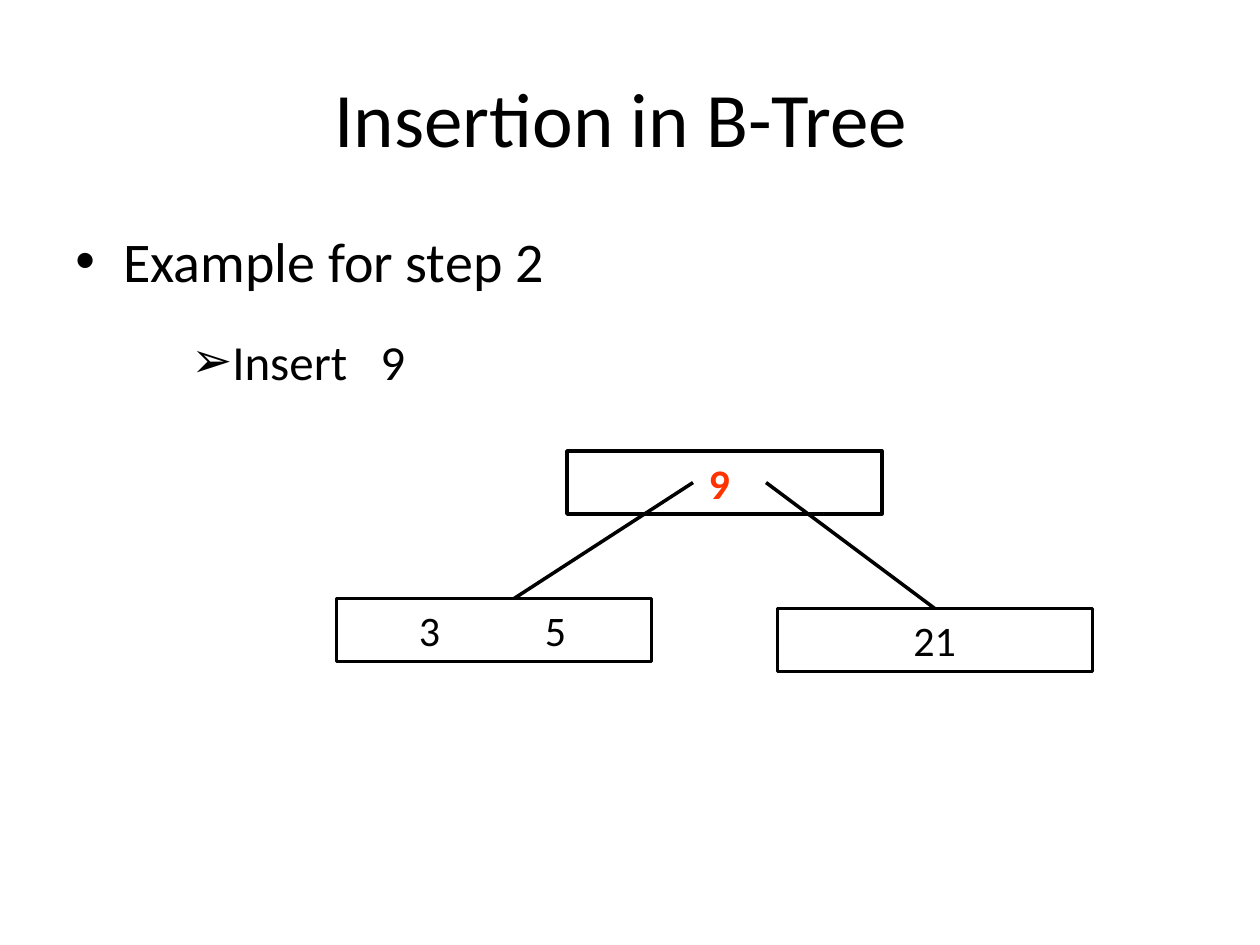
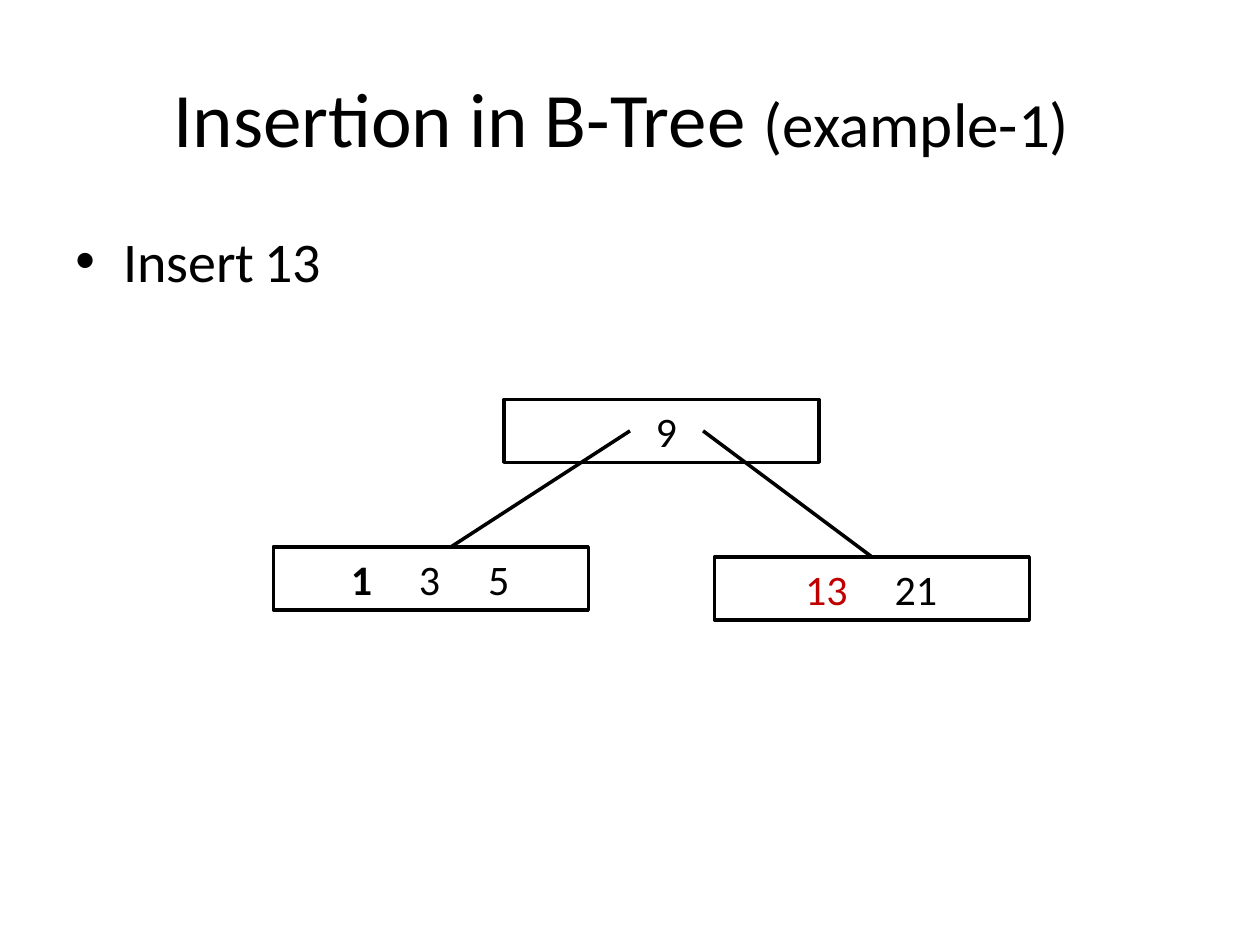
from lxml import etree
from pptx import Presentation
from pptx.dml.color import RGBColor
from pptx.enum import shapes, text
from pptx.oxml import ns
from pptx.util import Inches, Pt

COLORS = {"ink": "000000", "new": "FF3300", "added": "C00000", "paper": "FFFFFF"}
FONT = "Calibri"

# A run is (text, format). A key is (label, centre inside its node, format).
SLIDES = [
    {
        "title": [("Insertion in B-Tree ", {"size": 44})],
        "bullet": "Example for step 2",
        "step": "Insert\t9",
        "root_at": (4.5, 3.58),
        "root": [("9", 1.11, {"color": "new", "bold": True})],
        "left": [("3", 0.64, {}), ("5", 1.64, {})],
        "right": [("21", 1.15, {})],
    },
    {
        "title": [("Insertion in B-Tree ", {"size": 44}),
                  ("(example-1)", {"size": 36}), (" ", {"size": 44})],
        "bullet": "Insert\t13",
        "root_at": (4, 3.17),
        "root": [("9", 1.19, {})],
        "left": [("1", 0.6, {"bold": True}), ("3", 1.14, {}), ("5", 1.69, {})],
        "right": [("13", 0.79, {"color": "added"}), ("21", 1.5, {})],
    },
]

TITLE_BOX = (0.5, 0.3, 9, 1.25)
BODY_BOX = (0.5, 1.75, 9, 4.95)
STEP_BOX = (1.42, 2.58, 2.42, 0.57)
NODE_SIZE = (2.5, 0.5)
LINE_WIDTH = 2
# Offsets from the root's top left corner
CHILDREN = {"left": (-1.83, 1.17), "right": (1.67, 1.25)}
BRANCHES = {"left": ((1, 0.25), (-0.42, 1.17)),
            "right": ((1.58, 0.25), (2.92, 1.25))}


def rgb(name):
    return RGBColor.from_string(COLORS[name])


def add_run(p, label, size=24, color="ink", bold=False):
    r = p.add_run()
    r.text = label
    for name, value in {"name": FONT, "size": Pt(size), "bold": bold}.items():
        setattr(r.font, name, value)
    r.font.color.rgb = rgb(color)


def add_bullet(p, char, indent=0):
    pPr = p._p.get_or_add_pPr()
    pPr.set("marL", str(Inches(indent)))
    pPr.set("indent", str(-Inches(indent)))
    etree.SubElement(pPr, ns.qn("a:buFont"), typeface="Arial")
    etree.SubElement(pPr, ns.qn("a:buChar"), char=char)


def add_center_tabs(p, positions):
    tabs = etree.SubElement(p._p.get_or_add_pPr(), ns.qn("a:tabLst"))
    for x in positions:
        etree.SubElement(tabs, ns.qn("a:tab"), pos=str(Inches(x)), algn="ctr")


def add_text_box(s, box, wrap=True):
    tf = s.shapes.add_textbox(*map(Inches, box)).text_frame
    tf.word_wrap = wrap
    return tf


def add_node(s, at, keys):
    sp = s.shapes.add_shape(shapes.MSO_SHAPE.RECTANGLE,
                            *map(Inches, at + NODE_SIZE))
    sp.shadow.inherit = False
    sp.fill.background()
    sp.line.color.rgb = rgb("ink")
    sp.line.width = Pt(LINE_WIDTH)
    tf = sp.text_frame
    tf.vertical_anchor = text.MSO_ANCHOR.TOP
    p = tf.paragraphs[0]
    p.alignment = text.PP_ALIGN.LEFT
    add_center_tabs(p, [x for _, x, _ in keys])
    for label, _, fmt in keys:
        add_run(p, "\t" + label, **fmt)
    return sp


def add_branch(s, start, end):
    line = s.shapes.add_connector(shapes.MSO_CONNECTOR.STRAIGHT,
                                  *map(Inches, start + end))
    line.line.color.rgb = rgb("ink")
    line.line.width = Pt(LINE_WIDTH)
    etree.SubElement(line._element.spPr, ns.qn("a:effectLst"))
    return line


def add_tree(s, content):
    def place(offset):
        return tuple(a + b for a, b in zip(content["root_at"], offset))

    add_node(s, content["root_at"], content["root"])
    nodes = {side: add_node(s, place(offset), content[side])
             for side, offset in CHILDREN.items()}
    lines = {side: add_branch(s, place(start), place(end))
             for side, (start, end) in BRANCHES.items()}
    lines["right"].end_connect(nodes["right"], 0)


def add_slide(prs, content):
    s = prs.slides.add_slide(prs.slide_layouts[6])
    s.background.fill.solid()
    s.background.fill.fore_color.rgb = rgb("paper")

    tf = add_text_box(s, TITLE_BOX)
    tf.vertical_anchor = text.MSO_ANCHOR.MIDDLE
    p = tf.paragraphs[0]
    p.alignment = text.PP_ALIGN.CENTER
    for label, fmt in content["title"]:
        add_run(p, label, **fmt)

    p = add_text_box(s, BODY_BOX).paragraphs[0]
    add_bullet(p, "•", 0.38)
    add_run(p, content["bullet"], size=32)

    if "step" in content:
        tf = add_text_box(s, STEP_BOX, wrap=False)
        tf.auto_size = text.MSO_AUTO_SIZE.SHAPE_TO_FIT_TEXT
        add_bullet(tf.paragraphs[0], "➢")
        add_run(tf.paragraphs[0], content["step"], size=28)

    add_tree(s, content)


def main():
    prs = Presentation()
    prs.slide_width, prs.slide_height = Inches(10), Inches(7.5)
    for content in SLIDES:
        add_slide(prs, content)
    prs.save("out.pptx")


if __name__ == "__main__":
    main()
